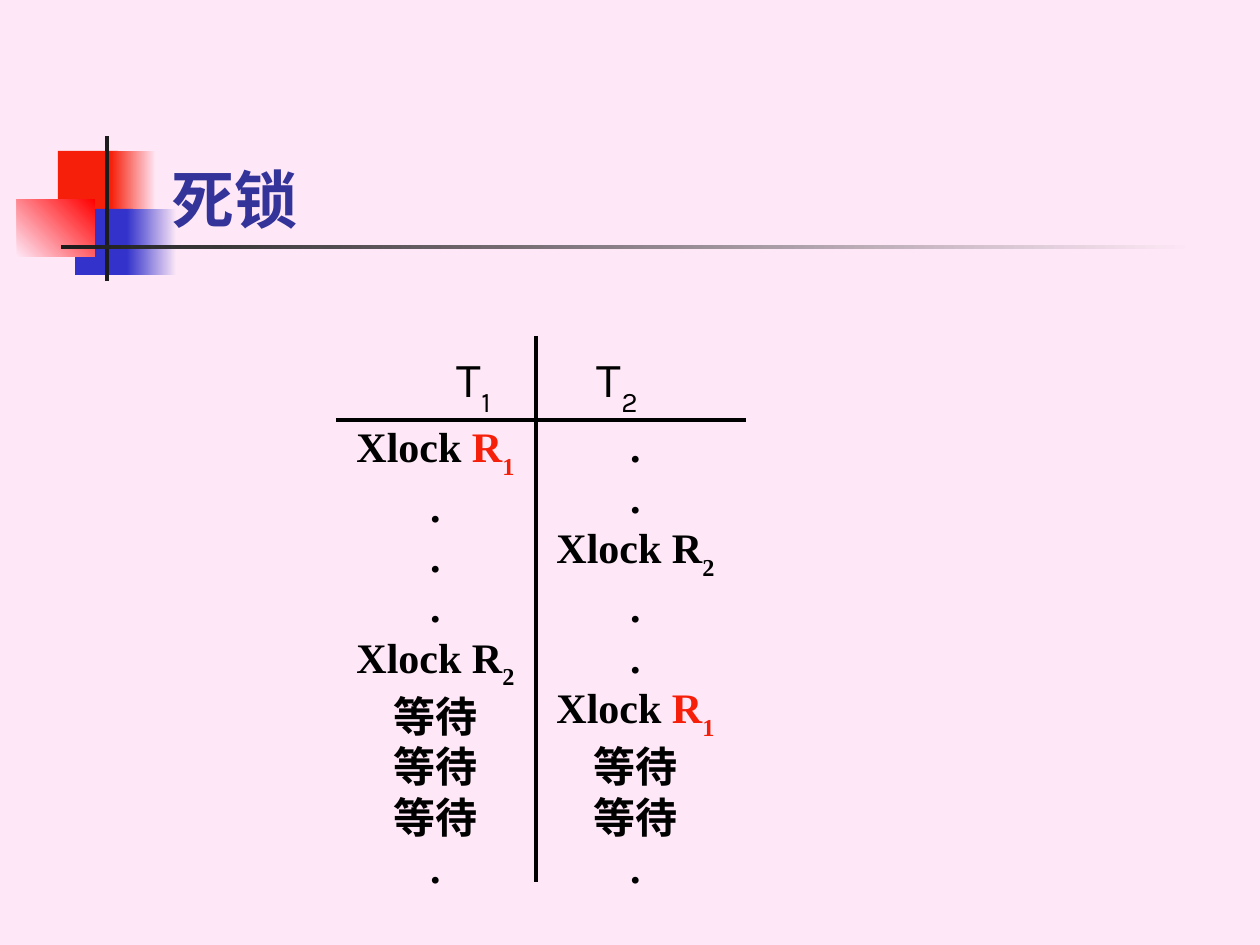
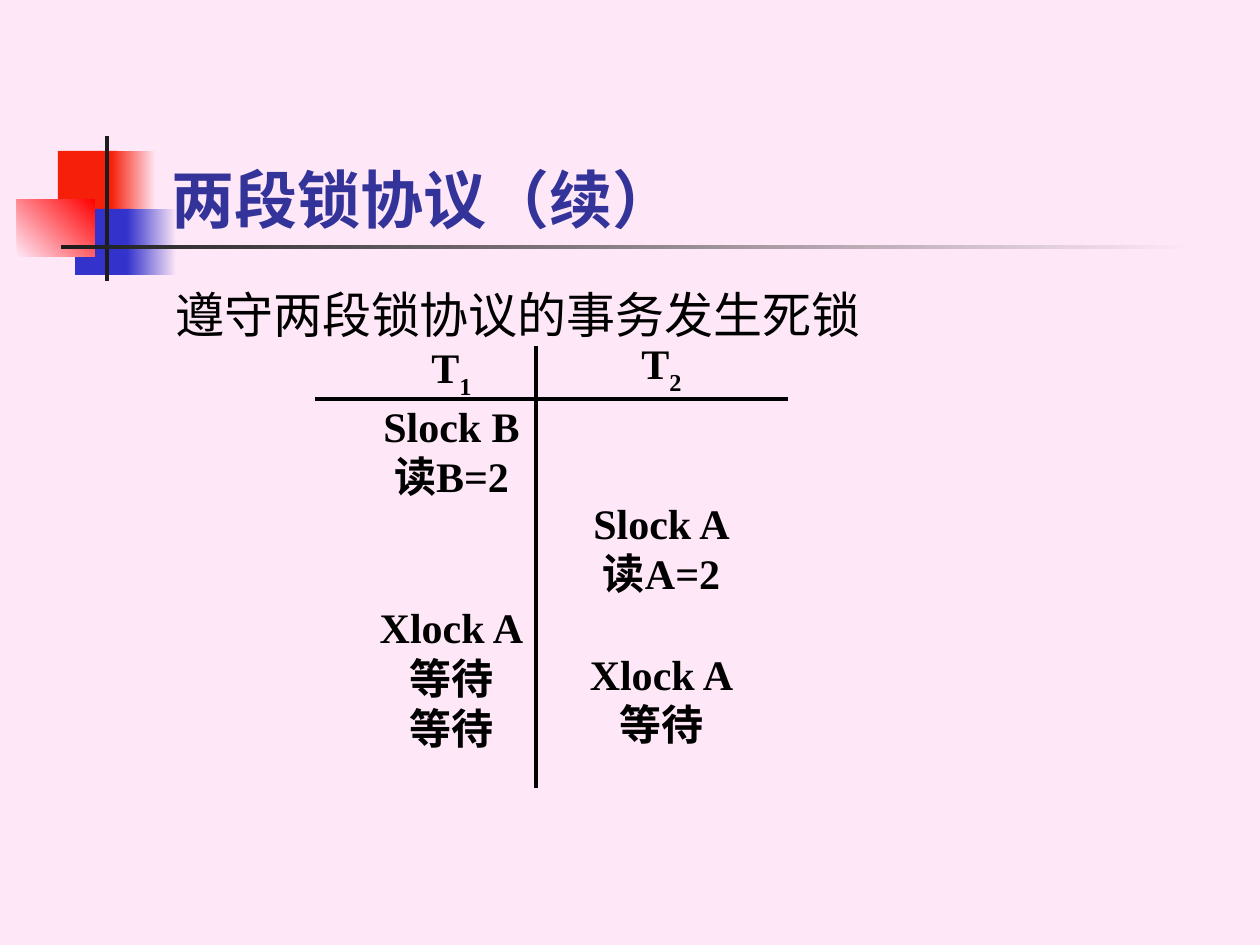
from lxml import etree
from pptx import Presentation
from pptx import util as u
from pptx.dml.color import RGBColor
from pptx.enum import shapes, text
from pptx.oxml import ns

PX = u.Inches(1) / 126
COLORS = {
    "ground": "FEE8F7", "red": "F6200A", "pure_red": "FF0000", "blue": "3333CC",
    "bar": "1C1C1C", "title": "333399", "ink": "000000",
}
HEAD_FONT, TABLE_FONT = "Karla", "Times New Roman"
ROW_PT, SUBSCRIPT_ROW_PT = 28.75, 34
WAIT = [("等待",)]
DOT = [(".",)]


def px(length):
    return u.Emu(round(length * PX))


def rgb(name):
    return RGBColor.from_string(COLORS[name])


def numbered(letter, number, color="ink"):
    """Runs for a letter with a subscript number."""
    return [(letter, color), (number, color, True)]


def add_text(slide, box, rows, font, size, color="ink", bold=False,
             anchor=text.MSO_ANCHOR.TOP, wrap=True):
    """Add a text box; each row is a list of (text, color, subscript) runs."""
    frame = slide.shapes.add_textbox(*map(px, box)).text_frame
    frame.word_wrap = wrap
    frame.vertical_anchor = anchor
    for index, row in enumerate(rows):
        paragraph = frame.paragraphs[0] if index == 0 else frame.add_paragraph()
        for words, run_color, subscript in ((*run, color, False)[:3] if len(run) == 1
                                            else (*run, False)[:3] for run in row):
            run = paragraph.add_run()
            run.text = words
            run.font.name, run.font.size, run.font.bold = font, u.Pt(size), bold
            run.font.color.rgb = rgb(run_color)
            if subscript:
                run._r.get_or_add_rPr().set("baseline", "-30000")
    return frame


def add_block(slide, box, start, end=None, angle=0):
    block = slide.shapes.add_shape(shapes.MSO_SHAPE.RECTANGLE, *map(px, box))
    block.shadow.inherit = False
    block.line.fill.background()
    if end is None:
        block.fill.solid()
        block.fill.fore_color.rgb = rgb(start)
        return
    block.fill.gradient()
    block.fill.gradient_angle = angle
    for stop, color, position in zip(block.fill.gradient_stops, (start, end), (0, 1)):
        stop.color.rgb = rgb(color)
        stop.position = position


def add_rule(slide, start, end):
    rule = slide.shapes.add_connector(shapes.MSO_CONNECTOR.STRAIGHT,
                                      *map(px, (*start, *end)))
    rule.line.color.rgb = rgb("ink")
    rule.line.width = u.Pt(2.25)
    etree.SubElement(rule._element.spPr, ns.qn("a:effectLst"))


def add_ornament(slide, left, top):
    """Draw the overlapping squares and crossed bars beside the title."""
    for (x, y, width, height), *fill in (
        ((41, 15, 60, 66), "red"),
        ((94, 15, 45, 66), "red", "ground"),
        ((58, 73, 58, 66), "blue"),
        ((110, 73, 50, 66), "blue", "ground"),
        ((0, 63, 78, 58), "ground", "pure_red", 45),
        ((88, 0, 4, 145), "bar"),
        ((44, 109, 1134, 4), "bar", "ground"),
    ):
        add_block(slide, (left + x, top + y, width, height), *fill)


def add_titled_slide(deck, title):
    slide = deck.slides.add_slide(deck.slide_layouts[6])
    slide.background.fill.solid()
    slide.background.fill.fore_color.rgb = rgb("ground")
    add_ornament(slide, 17, 136)
    add_text(slide, (159, 84, 1074, 158), [[(title,)]], HEAD_FONT, 36, "title",
             bold=True, anchor=text.MSO_ANCHOR.BOTTOM)
    return slide


def add_schedule_rules(slide, box, divider, header_height):
    left, top, width, height = box
    add_rule(slide, (left, top + header_height), (left + width, top + header_height))
    add_rule(slide, (left + divider, top), (left + divider, top + height))


def add_transaction(slide, box, steps, idle_before=None, anchor=text.MSO_ANCHOR.TOP):
    """Add one transaction's steps; idle_before maps a step to the rows it waits."""
    frame = add_text(slide, box, steps, TABLE_FONT, 24, bold=True,
                     anchor=anchor, wrap=False)
    for index, (paragraph, step) in enumerate(zip(frame.paragraphs, steps)):
        paragraph.alignment = text.PP_ALIGN.CENTER
        has_subscript = any(len(run) == 3 for run in step)
        paragraph.line_spacing = u.Pt(SUBSCRIPT_ROW_PT if has_subscript else ROW_PT)
        idle_rows = (idle_before or {}).get(index, 0)
        if idle_rows:
            paragraph.space_before = u.Pt(idle_rows * ROW_PT)


def add_schedule_header(slide, box):
    header = add_text(slide, box, [numbered("T", "1") + [("\t",)] + numbered("T", "2")],
                      HEAD_FONT, 28)
    header.margin_left, header.margin_top = px(310), px(84)
    properties = header.paragraphs[0]._p.get_or_add_pPr()
    tabs = etree.SubElement(properties, ns.qn("a:tabLst"))
    etree.SubElement(tabs, ns.qn("a:tab"), pos=str(px(140)), algn="l")


def build_deadlock(deck):
    slide = add_titled_slide(deck, "死锁")
    add_schedule_header(slide, (147, 265, 1071, 149))
    add_schedule_rules(slide, (336, 336, 410, 546), 200, 84)
    lock_r1 = [("Xlock ",)] + numbered("R", "1", "red")
    lock_r2 = [("Xlock ",)] + numbered("R", "2")
    transactions = (
        [lock_r1, DOT, DOT, DOT, lock_r2, WAIT, WAIT, WAIT, DOT],
        [DOT, DOT, lock_r2, DOT, DOT, lock_r1, WAIT, WAIT, DOT],
    )
    for column, steps in enumerate(transactions):
        add_transaction(slide, (336 + 200 * column, 431, 199, 451), steps,
                        anchor=text.MSO_ANCHOR.MIDDLE)


def build_two_phase(deck):
    slide = add_titled_slide(deck, "两段锁协议（续）")
    add_text(slide, (163, 278, 1071, 567), [[("遵守两段锁协议的事务发生死锁",)]],
             HEAD_FONT, 28)
    lock_a = [("Xlock A",)]
    add_transaction(slide, (367, 335, 169, 494),
                    [numbered("T", "1"), [("Slock B",)], [("读B=2",)],
                     lock_a, WAIT, WAIT], {3: 2})
    add_transaction(slide, (577, 331, 169, 494),
                    [numbered("T", "2"), [("Slock A",)], [("读A=2",)],
                     lock_a, WAIT], {1: 2, 3: 1})
    add_schedule_rules(slide, (315, 346, 473, 442), 221, 53)


def main():
    deck = Presentation()
    deck.slide_width, deck.slide_height = px(1260), px(945)
    build_deadlock(deck)
    build_two_phase(deck)
    deck.save("out.pptx")


if __name__ == "__main__":
    main()
